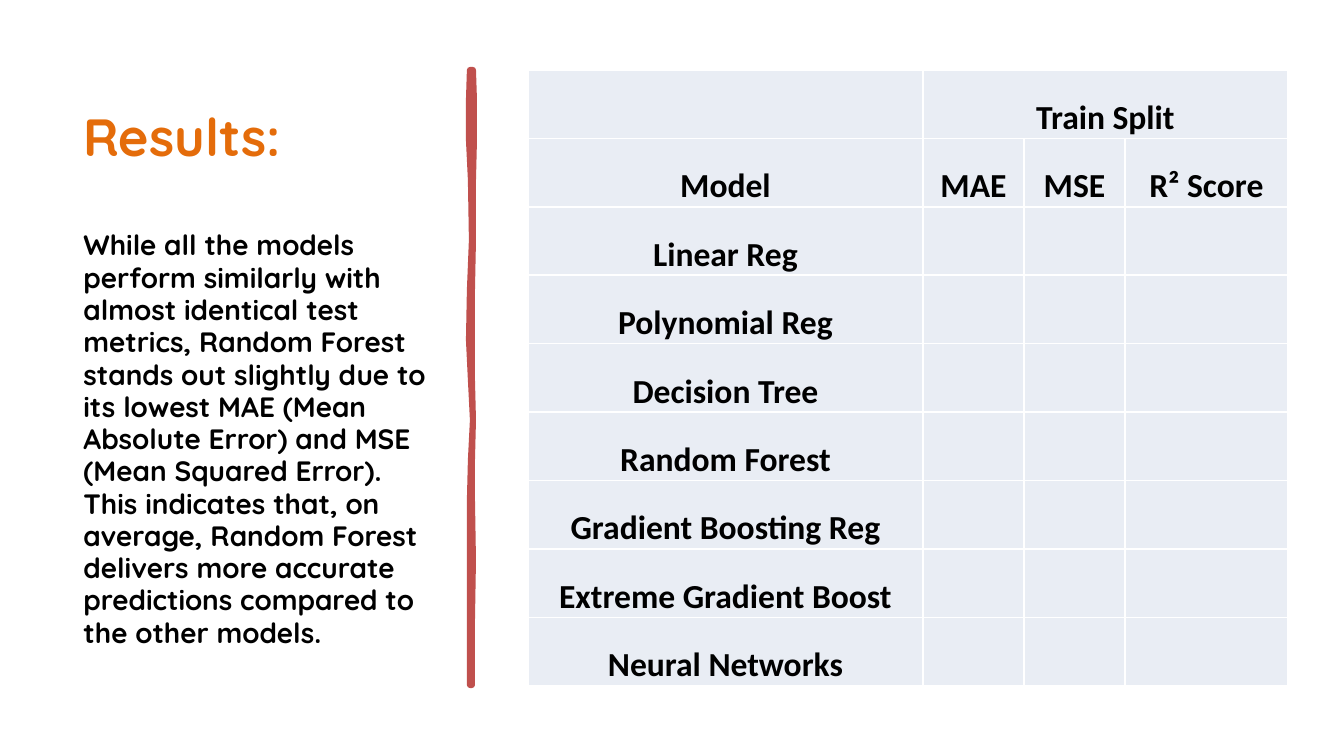
from lxml import etree
from pptx import Presentation
from pptx.dml.color import RGBColor
from pptx.enum.text import MSO_ANCHOR, MSO_AUTO_SIZE, PP_ALIGN
from pptx.oxml.ns import qn
from pptx.util import Pt

PX = 914400 / 134.4  # EMU per px
MIDDLE, BOTTOM = MSO_ANCHOR.MIDDLE, MSO_ANCHOR.BOTTOM
LEFT, CENTER = PP_ALIGN.LEFT, PP_ALIGN.CENTER
NO_FIT = MSO_AUTO_SIZE.NONE
COLORS = {"title": "E46C0A", "text": "000000", "stroke": "C0504D",
          "cell": "E9EDF4", "border": "FFFFFF"}

BODY = ("While all the models perform similarly with almost identical test "
        "metrics, Random Forest stands out slightly due to its lowest MAE "
        "(Mean Absolute Error) and MSE (Mean Squared Error). This indicates "
        "that, on average, Random Forest delivers more accurate predictions "
        "compared to the other models.")
HEADERS = ["Model", "MAE", "MSE", "R² Score"]
MODELS = ["Linear Reg", "Polynomial Reg", "Decision Tree", "Random Forest",
          "Gradient Boosting Reg", "Extreme Gradient Boost", "Neural Networks"]
COL_WIDTHS = [395, 101, 101, 163]
TABLE_HEIGHT = 616

# Hand-drawn divider: y, left edge, right edge
STROKE = [(70, 470, 473), (100, 469, 474), (140, 469, 474), (180, 471, 473),
          (240, 472, 473), (290, 470, 472), (340, 469, 472), (380, 471, 472),
          (420, 473, 473), (460, 471, 472), (500, 470, 472), (560, 470, 473),
          (620, 470, 472), (685, 470, 472)]


def px(n):
    return round(n * PX)


def color(name):
    return RGBColor.from_string(COLORS[name])


def add_run(p, text, size, font, color_name):
    r = p.add_run()
    r.text = text
    r.font.size = Pt(size)
    r.font.name = font
    r.font.bold = True
    r.font.color.rgb = color(color_name)


def add_title(s):
    title = s.shapes.title
    title.left, title.top = px(70), px(71)
    title.width, title.height = px(378), px(616)
    tf = title.text_frame
    tf.word_wrap = True
    tf.auto_size = NO_FIT
    tf.vertical_anchor = MIDDLE
    heading, body = tf.paragraphs[0], tf.add_paragraph()
    for p in (heading, body):
        p.alignment = LEFT
        p.line_spacing = 0.96
    body.space_before = Pt(33)
    add_run(heading, "Results:", 28, "Quicksand", "title")
    add_run(body, BODY, 15, "Quicksand", "text")


def add_divider(s):
    left = [(x, y) for y, x, _ in STROKE]
    right = [(x, y) for y, _, x in reversed(STROKE)]
    start, *rest = left + right
    builder = s.shapes.build_freeform(*start, scale=PX)
    builder.add_line_segments(rest, close=True)
    sp = builder.convert_to_shape()
    sp.shadow.inherit = False
    sp.fill.solid()
    sp.fill.fore_color.rgb = color("stroke")
    sp.line.color.rgb = color("stroke")
    sp.line.width = Pt(3.25)
    # Round joins soften the ends
    etree.SubElement(sp.line._get_or_add_ln(), qn("a:round"))


def add_borders(cell):
    tc_pr = cell._tc.get_or_add_tcPr()
    for side in ("lnL", "lnR", "lnT", "lnB"):
        ln = etree.SubElement(tc_pr, qn(f"a:{side}"), w=str(Pt(1)))
        fill = etree.SubElement(ln, qn("a:solidFill"))
        etree.SubElement(fill, qn("a:srgbClr"), val=COLORS["border"])


def format_cell(cell, text):
    add_borders(cell)
    cell.fill.solid()
    cell.fill.fore_color.rgb = color("cell")
    if text:
        cell.vertical_anchor = BOTTOM
        cell.margin_left = cell.margin_right = cell.margin_top = px(1)
        cell.margin_bottom = 0
        p = cell.text_frame.paragraphs[0]
        p.alignment = CENTER
        add_run(p, text, 18, "Calibri", "text")


def add_results_table(s):
    rows = [["", "Train Split", "", ""], HEADERS]
    rows += [[model, "", "", ""] for model in MODELS]
    table = s.shapes.add_table(len(rows), len(HEADERS), px(528), px(70),
                               px(sum(COL_WIDTHS)), px(TABLE_HEIGHT)).table
    table.first_row = table.horz_banding = False
    for col, width in zip(table.columns, COL_WIDTHS):
        col.width = px(width)
    for i, texts in enumerate(rows):
        table.rows[i].height = px(TABLE_HEIGHT / len(rows))
        for j, text in enumerate(texts):
            format_cell(table.cell(i, j), text)
    table.cell(0, 1).merge(table.cell(0, 3))


def main():
    prs = Presentation()
    prs.slide_width, prs.slide_height = px(1344), px(756)
    s = prs.slides.add_slide(prs.slide_layouts[5])
    add_title(s)
    add_divider(s)
    add_results_table(s)
    prs.save("out.pptx")


if __name__ == "__main__":
    main()
